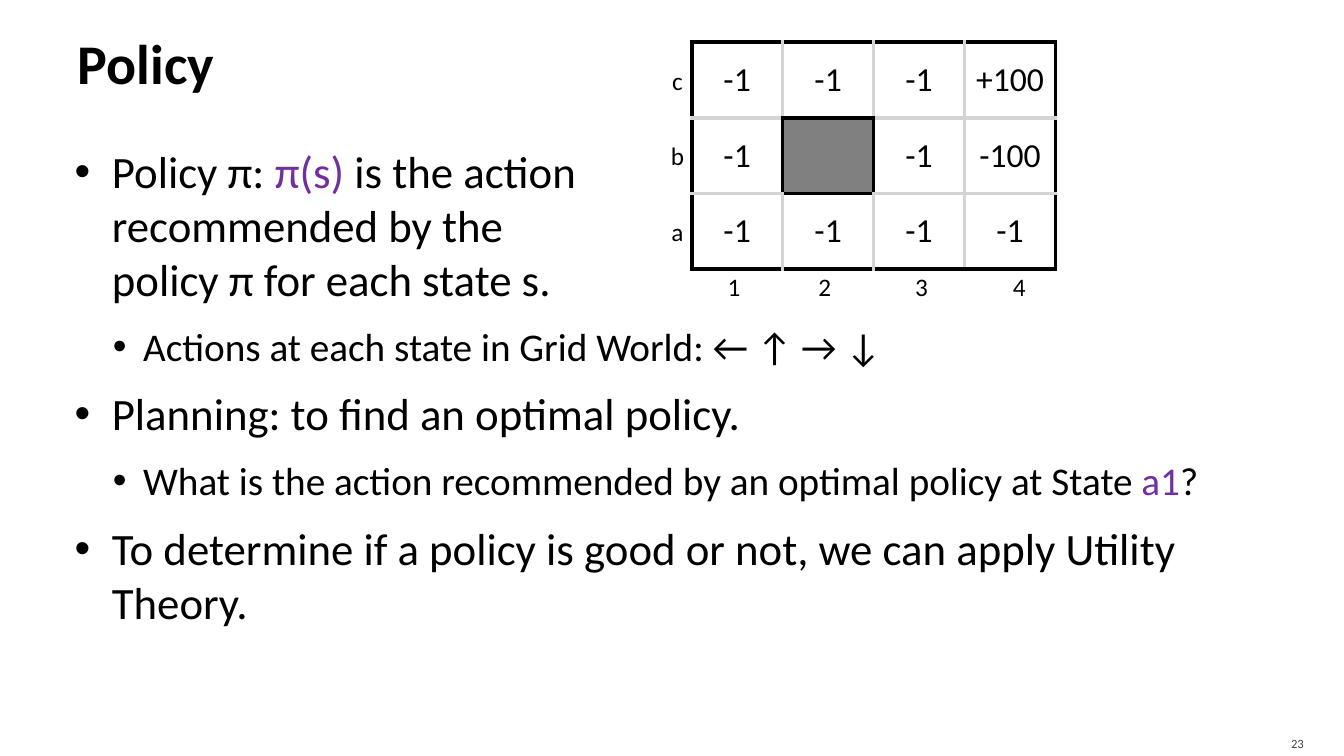
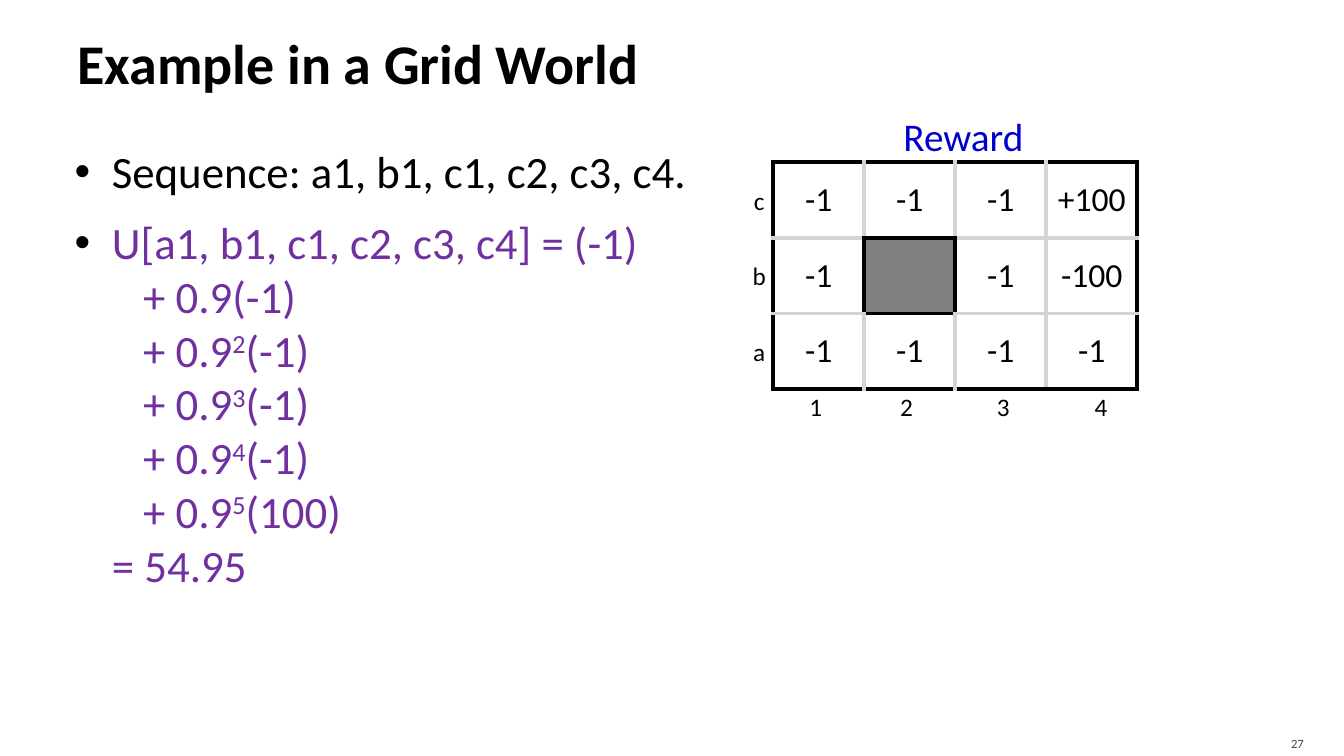
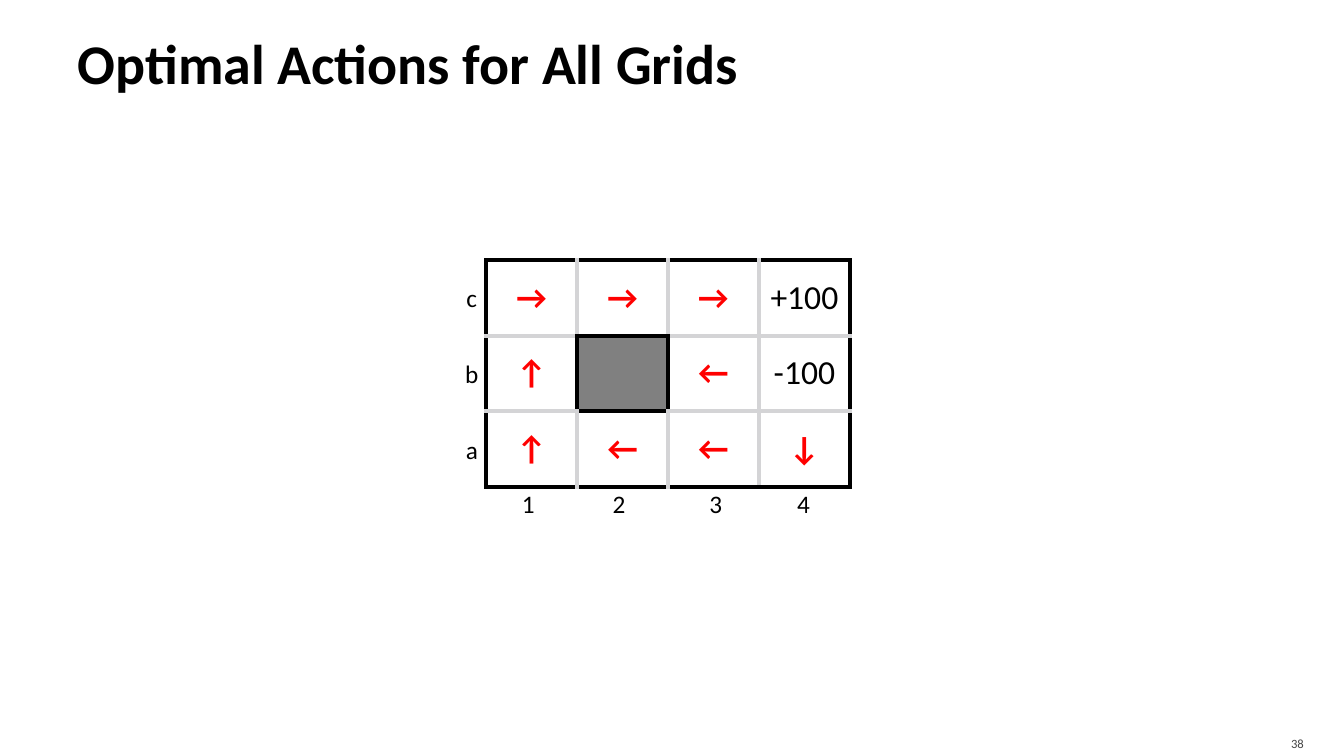
from dataclasses import dataclass

from lxml import etree
from pptx import Presentation
from pptx.dml.color import RGBColor
from pptx.enum.text import MSO_ANCHOR, MSO_AUTO_SIZE, PP_ALIGN
from pptx.oxml.ns import qn
from pptx.util import Inches, Pt

LEFT, CENTER, RIGHT = PP_ALIGN.LEFT, PP_ALIGN.CENTER, PP_ALIGN.RIGHT
TOP, MIDDLE = MSO_ANCHOR.TOP, MSO_ANCHOR.MIDDLE
NO_FIT = MSO_AUTO_SIZE.NONE
TITLE_ONLY = 5


@dataclass(frozen=True)
class Theme:
    """Colours, type sizes and measures shared by all slides."""

    width: float = 13.33
    height: float = 7.5
    font: str = "Calibri"
    ink: str = "000000"
    accent: str = "7030A0"
    caption: str = "0000CC"
    action: str = "FF0000"
    wall: str = "808080"
    rule: str = "D4D4D6"
    footer: str = "454545"
    title_size: int = 40
    body_sizes: tuple = (32, 28)
    indents: tuple = ((0.38, -0.37), (0.69, -0.3))
    cell_size: int = 24
    label_size: int = 18
    caption_size: int = 28
    footer_size: int = 9
    border: int = 3


THEME = Theme()
TITLE_BOX = (0.67, 0.08, 12, 1.08)
BODY_BOX = (0.67, 1.33, 12, 5.83)
NUMBER_BOX = (11.96, 7.2, 1.07, 0.3)
GRID_SIZE = (3.61, 2.25)
LABEL_SIZE = (0.33, 0.4)
WALL = (1, 1)

REWARDS = (
    ("-1", "-1", "-1", "+100"),
    ("-1", "", "-1", "-100"),
    ("-1", "-1", "-1", "-1"),
)
ACTIONS = (
    ("→", "→", "→", "+100"),
    ("↑", "", "←", "-100"),
    ("↑", "←", "←", "↓"),
)


def add_text(para, text, size, color=THEME.ink, bold=False, raised=False):
    """Append formatted text to a paragraph, breaking lines at newlines."""
    for index, line in enumerate(text.split("\n")):
        if index:
            para.add_line_break()
        if not line:
            continue
        span = para.add_run()
        span.text = line
        span.font.name = THEME.font
        span.font.size = Pt(size)
        span.font.bold = bold
        span.font.color.rgb = RGBColor.from_string(color)
        if raised:
            span.font._element.set("baseline", "30000")


def set_frame(frame, insets, anchor=MIDDLE, wrap=True):
    """Set the insets, anchor and wrapping of a text frame."""
    frame.margin_left, frame.margin_top, frame.margin_right, frame.margin_bottom = (
        Inches(inset) for inset in insets
    )
    frame.vertical_anchor = anchor
    frame.word_wrap = wrap
    frame.auto_size = NO_FIT


def add_label(page, box, text, size, color=THEME.ink, align=CENTER,
              insets=(0.1, 0.05, 0.1, 0.05), anchor=TOP, wrap=False):
    """Add a one-line text box."""
    label = page.shapes.add_textbox(*map(Inches, box))
    set_frame(label.text_frame, insets, anchor, wrap)
    para = label.text_frame.paragraphs[0]
    para.alignment = align
    add_text(para, text, size, color)


def set_bullet(para, level, tab=None):
    """Give a paragraph its bullet, indents, spacing and optional tab stop."""
    margin, indent = THEME.indents[level]
    para.level = level
    para.space_before = para.space_after = Pt(6)
    props = para._p.get_or_add_pPr()
    props.set("marL", str(Inches(margin)))
    props.set("indent", str(Inches(indent)))
    color = etree.SubElement(props, qn("a:buClr"))
    etree.SubElement(color, qn("a:srgbClr"), val=THEME.ink)
    etree.SubElement(props, qn("a:buFont"), typeface="Arial")
    etree.SubElement(props, qn("a:buChar"), char="•")
    if tab:
        stops = etree.SubElement(props, qn("a:tabLst"))
        etree.SubElement(stops, qn("a:tab"), pos=str(Inches(tab)), algn="l")


def add_body(page, box, items, tab=None):
    """Add a bulleted list of (level, spans) items."""
    body = page.shapes.add_textbox(*map(Inches, box))
    frame = body.text_frame
    set_frame(frame, (0.06, 0.1, 0.1, 0.05), TOP)
    for index, (level, spans) in enumerate(items):
        para = frame.add_paragraph() if index else frame.paragraphs[0]
        para.alignment = LEFT
        set_bullet(para, level, tab)
        for text, style in spans:
            add_text(para, text, THEME.body_sizes[level], **style)


def set_borders(cell, row, column, row_count, column_count):
    """Draw black lines on the outside and around the wall, grey ones elsewhere."""
    neighbours = (
        ("L", row, column - 1),
        ("R", row, column + 1),
        ("T", row - 1, column),
        ("B", row + 1, column),
    )
    props = cell._tc.get_or_add_tcPr()
    for index, (side, near_row, near_column) in enumerate(neighbours):
        inside = 0 <= near_row < row_count and 0 <= near_column < column_count
        strong = not inside or WALL in ((row, column), (near_row, near_column))
        line = etree.Element(qn(f"a:ln{side}"), w=str(Pt(THEME.border)))
        fill = etree.SubElement(line, qn("a:solidFill"))
        etree.SubElement(fill, qn("a:srgbClr"), val=THEME.ink if strong else THEME.rule)
        props.insert(index, line)


def fill_cell(cell, text, is_wall):
    """Fill one grid cell and write its reward or action."""
    cell.vertical_anchor = MIDDLE
    cell.margin_left = cell.margin_right = Inches(0.05)
    if is_wall:
        cell.fill.solid()
        cell.fill.fore_color.rgb = RGBColor.from_string(THEME.wall)
        return
    cell.fill.background()
    is_action = text in "←↑→↓"
    para = cell.text_frame.paragraphs[0]
    para.alignment = CENTER
    add_text(para, text, THEME.cell_size,
             color=THEME.action if is_action else THEME.ink, bold=is_action)


def add_grid_world(page, left, top, values, last_center=3.25, caption=None):
    """Add the grid world with its row and column labels and optional caption."""
    width, height = GRID_SIZE
    row_count, column_count = len(values), len(values[0])
    table = page.shapes.add_table(
        row_count, column_count, *map(Inches, (left, top, width, height))
    ).table
    table.first_row = table.horz_banding = False
    for row, texts in enumerate(values):
        for column, text in enumerate(texts):
            cell = table.cell(row, column)
            fill_cell(cell, text, (row, column) == WALL)
            set_borders(cell, row, column, row_count, column_count)

    label_width, label_height = LABEL_SIZE
    row_height = height / row_count
    marks = [(name, -0.14, (row + 0.5) * row_height) for row, name in enumerate("cba")]
    centers = (0.42, 1.32, 2.28, last_center)
    marks += [(name, center, height + 0.17) for name, center in zip("1234", centers)]
    for name, across, down in marks:
        box = (left + across - label_width / 2, top + down - label_height / 2,
               label_width, label_height)
        add_label(page, box, name, THEME.label_size)
    if caption:
        add_label(page, (left + 1.14, top - 0.54, 1.49, 0.57), caption,
                  THEME.caption_size, THEME.caption)


def add_page(deck, title, number):
    """Add a slide with its title and slide number."""
    page = deck.slides.add_slide(deck.slide_layouts[TITLE_ONLY])
    heading = page.shapes.title
    heading.left, heading.top, heading.width, heading.height = map(Inches, TITLE_BOX)
    set_frame(heading.text_frame, (0.1, 0.05, 0.05, 0.05))
    para = heading.text_frame.paragraphs[0]
    para.alignment = LEFT
    add_text(para, title, THEME.title_size, bold=True)
    add_label(page, NUMBER_BOX, str(number), THEME.footer_size, THEME.footer,
              align=RIGHT, insets=(0.1, 0.05, 0.1, 0), anchor=MIDDLE, wrap=True)
    return page


def add_policy_page(deck):
    """Build the slide that defines a policy."""
    plain, accent = {}, {"color": THEME.accent}
    page = add_page(deck, "Policy", 23)
    add_body(page, BODY_BOX, (
        (0, (("Policy π: ", plain), ("π(s)", accent),
             (" is the action \nrecommended by the \npolicy π for each state s.", plain))),
        (1, (("Actions at each state in Grid World: ← ↑ → ↓", plain),)),
        (0, (("Planning: to find an optimal policy.", plain),)),
        (1, (("What is the action recommended by an optimal policy at State ", plain),
             ("a1", accent), ("?", plain))),
        (0, (("To determine if a policy is good or not, we can apply Utility Theory.",
              plain),)),
    ))
    add_grid_world(page, 6.86, 0.42, REWARDS)


def add_example_page(deck):
    """Build the slide that works out the utility of a sequence."""
    accent = {"color": THEME.accent}
    raised = {"color": THEME.accent, "raised": True}
    utility = [("U[a1, b1, c1, c2, c3, c4] = (-1) \n\t+ 0.9(-1) ", accent)]
    for power, reward in ((2, -1), (3, -1), (4, -1), (5, 100)):
        utility += [("\n\t+ 0.9", accent), (str(power), raised), (f"({reward}) ", accent)]
    utility.append(("\n= 54.95", accent))
    page = add_page(deck, "Example in a Grid World", 27)
    add_body(page, BODY_BOX, (
        (0, (("Sequence: a1, b1, c1, c2, c3, c4.", {}),)),
        (0, utility),
    ), tab=0.69)
    add_grid_world(page, 7.67, 1.61, REWARDS, caption="Reward")


def add_actions_page(deck):
    """Build the slide that shows the best action in each cell."""
    page = add_page(deck, "Optimal Actions for All Grids", 38)
    add_grid_world(page, 4.82, 2.58, ACTIONS, last_center=3.15)


def main():
    """Build and save the deck."""
    deck = Presentation()
    deck.slide_width, deck.slide_height = Inches(THEME.width), Inches(THEME.height)
    add_policy_page(deck)
    add_example_page(deck)
    add_actions_page(deck)
    deck.save("out.pptx")


if __name__ == "__main__":
    main()
